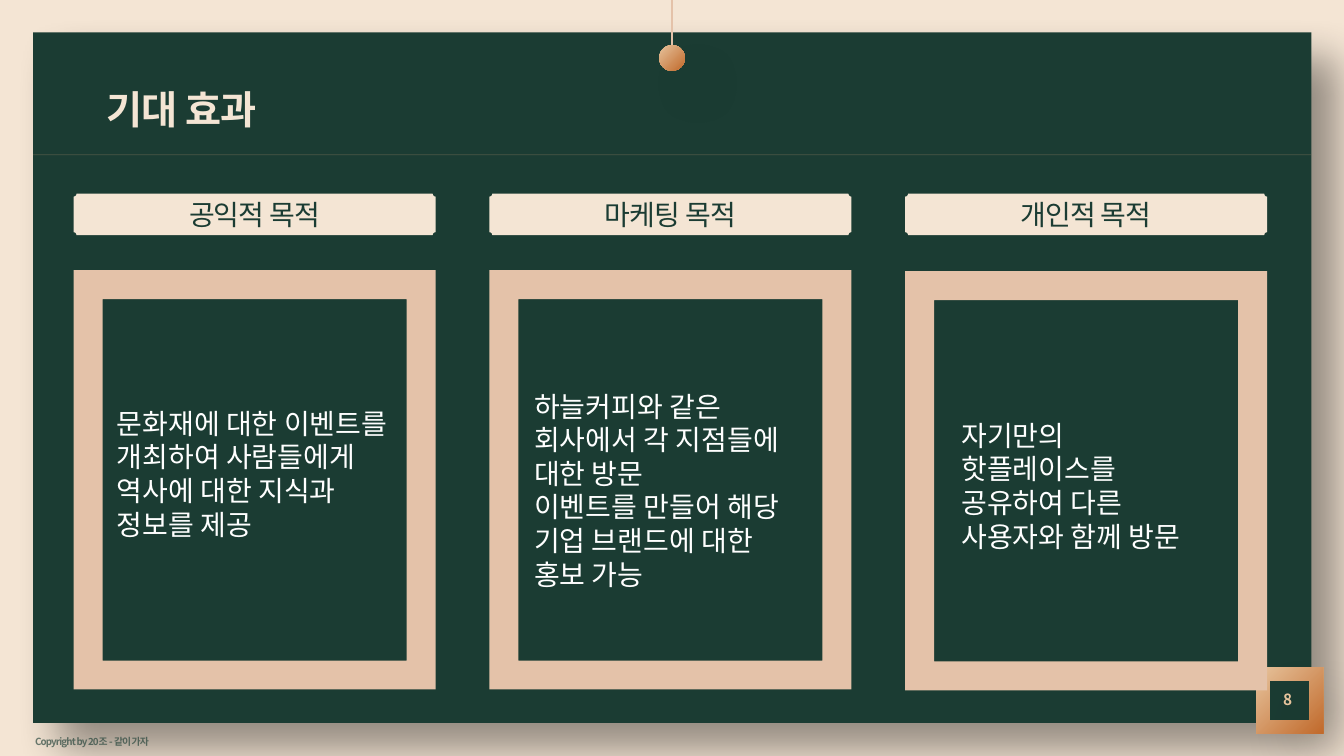
import dataclasses
import typing

import lxml.etree
import pptx
import pptx.dml.color
import pptx.enum.shapes
import pptx.enum.text
import pptx.oxml.ns
import pptx.util

Pt = pptx.util.Pt
RGB = pptx.dml.color.RGBColor.from_string
qn = pptx.oxml.ns.qn
KIND = pptx.enum.shapes.MSO_SHAPE
ALIGN = pptx.enum.text.PP_ALIGN
ANCHOR = pptx.enum.text.MSO_ANCHOR
FIT = pptx.enum.text.MSO_AUTO_SIZE

FONT = "Noto Sans CJK KR"
HUES = {"cream": "F4E5D4", "green": "1B3C33", "rose": "E4C2A9", "white": "FFFFFF",
        "gold": "E7C49D", "copper": "C16A2C", "rule": "E3AB83", "black": "000000"}
Box = tuple[float, float, float, float]


@dataclasses.dataclass
class Style:
    size: float
    hue: str
    bold: bool = False
    tight: bool = True
    align: typing.Any = ALIGN.LEFT
    anchor: typing.Any = ANCHOR.MIDDLE
    inset: tuple[float, float] = (0, 0)
    fit: typing.Any = FIT.NONE
    lead: float | None = None
    alpha: int = 100


@dataclasses.dataclass
class Card:
    label: str
    lines: list[str]
    text: Box
    top: float = 193


TITLE = Style(28, "cream", bold=True, align=ALIGN.CENTER)
FOOT = Style(7, "green", bold=True, lead=1.2, alpha=64)
PAGE = Style(11, "gold", bold=True, align=ALIGN.CENTER)
LABEL = Style(20, "green", align=ALIGN.CENTER, inset=(14.4, 3.6))
BODY = Style(20, "white", tight=False, anchor=ANCHOR.TOP, inset=(7.2, 3.6),
             fit=FIT.SHAPE_TO_FIT_TEXT)

CARDS = [
    Card("공익적 목적",
         ["문화재에 대한 이벤트를", "개최하여 사람들에게", "역사에 대한 지식과 정보를 제공"],
         (76.3, 286.6, 230.4, 147.6)),
    Card("마케팅 목적",
         ["하늘커피와 같은 회사에서 각 지점들에 대한 방문", "이벤트를 만들어 해당",
          "기업 브랜드에 대한 홍보 가능"],
         (374.4, 274.3, 209.5, 150.5)),
    Card("개인적 목적",
         ["자기만의 핫플레이스를 공유하여 다른 사용자와 함께 방문"],
         (679.7, 295.2, 198.7, 101.5), top=193.7),
]
LEFT, STEP, WIDTH = 52.6, 297, 258.5


def fade(node: typing.Any, share: int) -> None:
    """Make the colour inside a node partly clear."""
    for tone in node.iter(qn("a:srgbClr")):
        lxml.etree.SubElement(tone, qn("a:alpha"), val=str(share * 1000))


def write(shape: typing.Any, lines: list[str], style: Style) -> None:
    frame = shape.text_frame
    side, edge = style.inset
    form = {"word_wrap": True, "auto_size": style.fit, "vertical_anchor": style.anchor,
            "margin_left": Pt(side), "margin_right": Pt(side),
            "margin_top": Pt(edge), "margin_bottom": Pt(edge)}
    for name, value in form.items():
        setattr(frame, name, value)
    for rank, line in enumerate(lines):
        para = frame.add_paragraph() if rank else frame.paragraphs[0]
        para.alignment = style.align
        if style.lead:
            para.line_spacing = style.lead
        run = para.add_run()
        run.text = line
        look = {"size": Pt(style.size), "bold": style.bold, "name": FONT}
        for name, value in look.items():
            setattr(run.font, name, value)
        run.font.color.rgb = RGB(HUES[style.hue])
        props = run.font._element
        lxml.etree.SubElement(props, qn("a:ea"), typeface=FONT)
        if style.tight:
            props.set("spc", "-60")
        if style.alpha < 100:
            fade(props, style.alpha)


def block(slide: typing.Any, kind: typing.Any, box: Box, hue: str | None = None,
          adjust: float | None = None, shade: int = 0) -> typing.Any:
    """Draw a shape; without a hue it gets the copper gradient."""
    shape = slide.shapes.add_shape(kind, *map(Pt, box))
    shape.shadow.inherit = False
    shape.line.fill.background()
    if adjust is not None:
        shape.adjustments[0] = adjust
    if hue:
        shape.fill.solid()
        shape.fill.fore_color.rgb = RGB(HUES[hue])
    else:
        shape.fill.gradient()
        shape.fill.gradient_angle = 315
        for stop, tone in zip(shape.fill.gradient_stops, ("gold", "copper")):
            stop.color.rgb = RGB(HUES[tone])
    if shade:
        glow = lxml.etree.SubElement(
            shape.element.spPr.find(qn("a:effectLst")), qn("a:outerShdw"),
            blurRad=str(Pt(30)), dist=str(Pt(26)), dir="2700000",
            algn="tl", rotWithShape="0")
        lxml.etree.SubElement(glow, qn("a:srgbClr"), val=HUES["black"])
        fade(glow, shade)
    return shape


def rule(slide: typing.Any, ends: Box, hue: str, width: float, share: int = 100) -> None:
    line = slide.shapes.add_connector(
        pptx.enum.shapes.MSO_CONNECTOR.STRAIGHT, *map(Pt, ends))
    line.line.color.rgb = RGB(HUES[hue])
    line.line.width = Pt(width)
    props = line.element.spPr
    if share < 100:
        fade(props, share)
    lxml.etree.SubElement(props, qn("a:effectLst"))


def note(slide: typing.Any, box: Box, lines: list[str], style: Style) -> None:
    write(slide.shapes.add_textbox(*map(Pt, box)), lines, style)


def main() -> None:
    deck = pptx.Presentation()
    deck.slide_width, deck.slide_height = Pt(960), Pt(540)
    slide = deck.slides.add_slide(deck.slide_layouts[5])
    slide.background.fill.solid()
    slide.background.fill.fore_color.rgb = RGB(HUES["cream"])

    # Board with its rule, page badge and pin
    block(slide, KIND.ROUNDED_RECTANGLE, (23.6, 23.2, 913, 493.2), "green", 0, shade=40)
    rule(slide, (23.6, 110.6, 936.6, 110.6), "rule", 0.5, 24)
    block(slide, KIND.FRAME, (897.6, 476.6, 47.5, 47.5), adjust=0.2, shade=8)
    block(slide, KIND.OVAL, (470.8, 32.2, 18.4, 18.4), shade=8)
    rule(slide, (480, 32.2, 480, 0), "rose", 1)

    # Title, raised above the board
    title = slide.shapes.title
    spot = {"left": 34.6, "top": 55.4, "width": 190, "height": 44.6}
    for name, value in spot.items():
        setattr(title, name, Pt(value))
    write(title, ["기대 효과"], TITLE)
    title.element.getparent().append(title.element)

    # Footer and page number
    note(slide, (25, 517, 168, 23), ["Copyright by 20조 - 같이 가자"], FOOT)
    note(slide, (897.1, 491.8, 45.4, 15.8), ["8"], PAGE)

    # Three cards, each with a label, a frame and a text
    for rank, card in enumerate(CARDS):
        left = LEFT + rank * STEP
        block(slide, KIND.FRAME, (left, card.top, WIDTH, 299.5), "rose", 0.08)
        note(slide, card.text, card.lines, BODY)
        label = block(slide, KIND.PLAQUE, (left, 138.4, WIDTH, 29.5), "cream", 0.07)
        write(label, [card.label], LABEL)

    deck.save("out.pptx")


if __name__ == "__main__":
    main()
